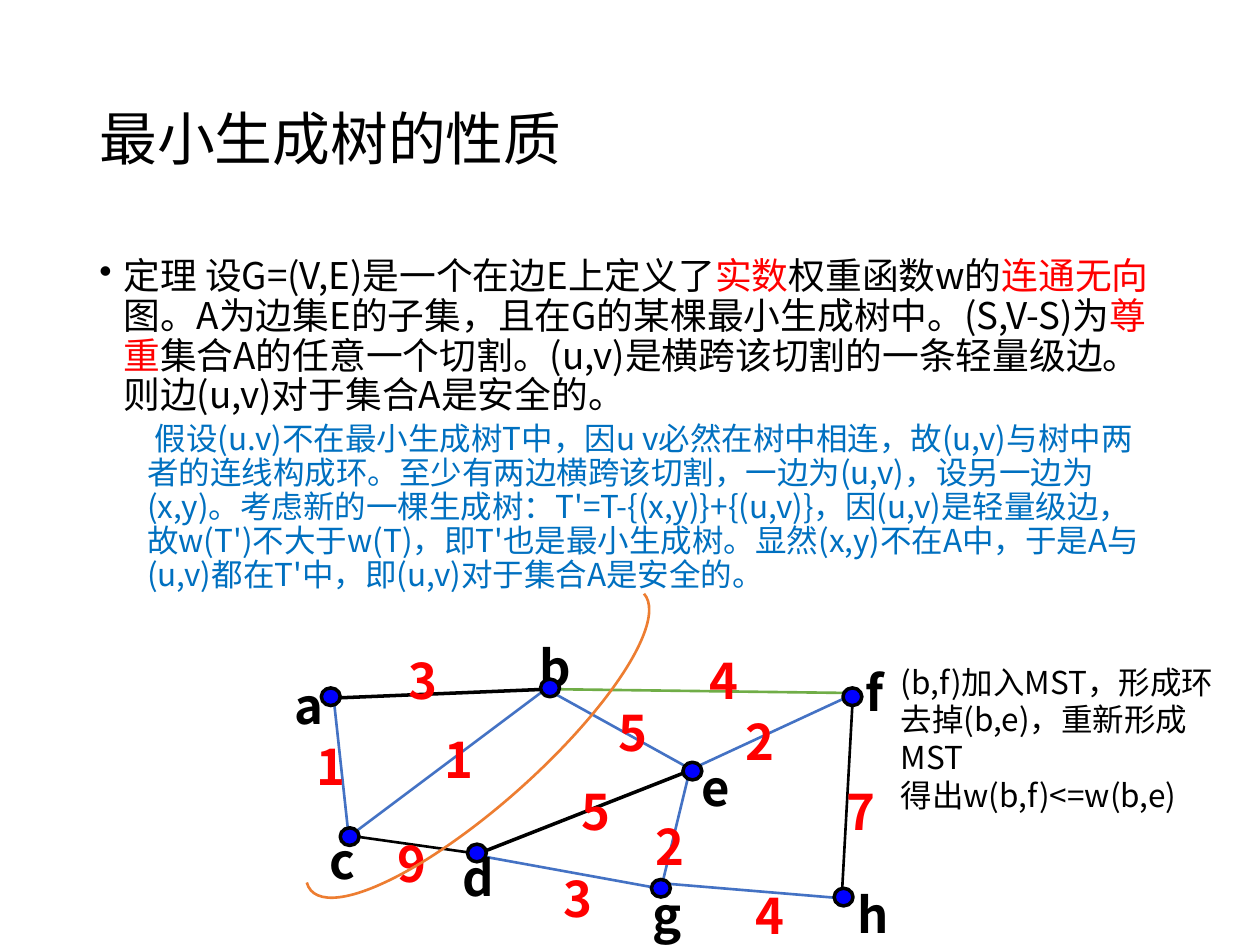
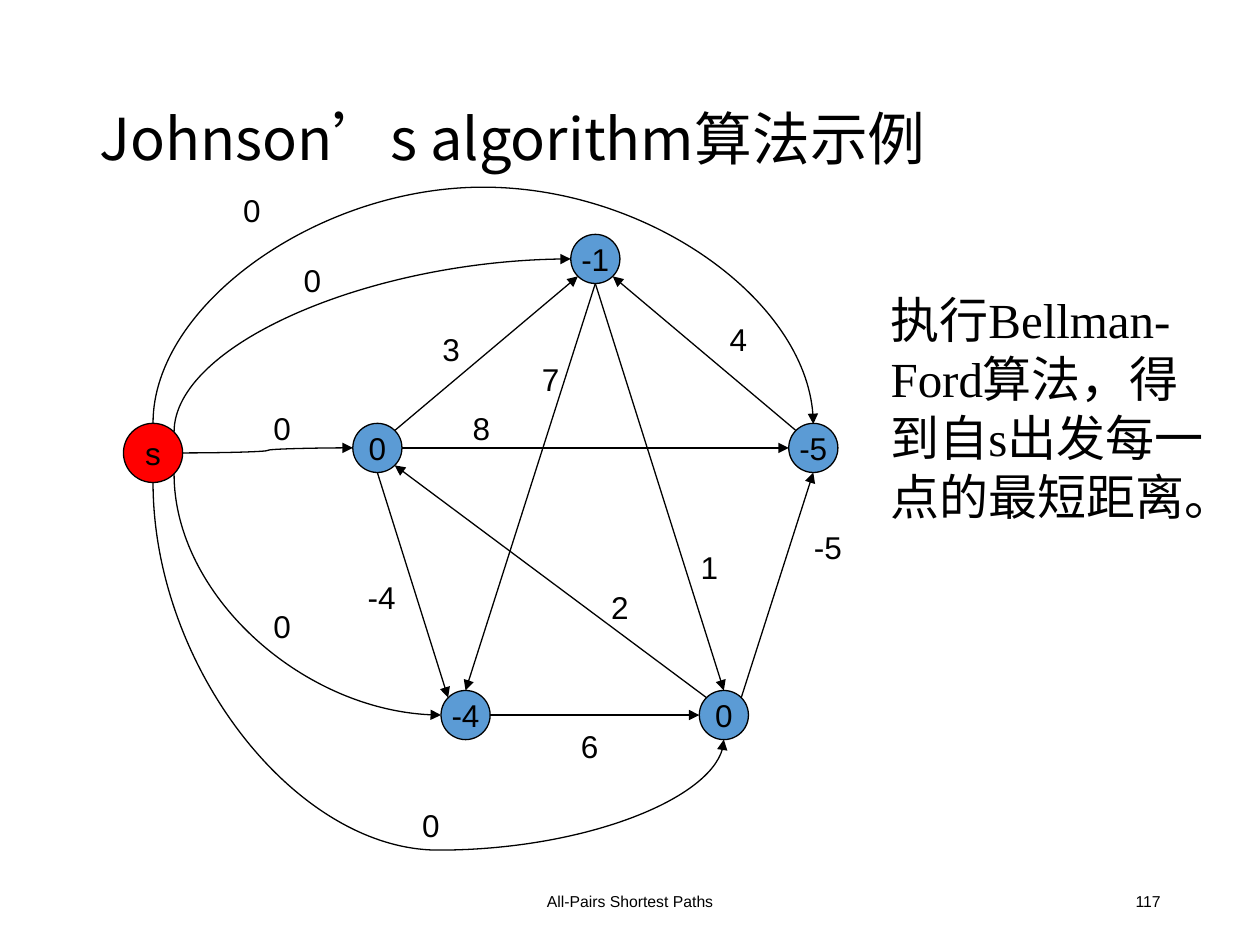
from lxml.etree import SubElement as Sub
from pptx import Presentation
from pptx.dml.color import RGBColor
from pptx.enum.shapes import MSO_CONNECTOR as Conn, MSO_SHAPE as Geo
from pptx.enum.text import MSO_ANCHOR as Anchor, MSO_AUTO_SIZE as Auto, PP_ALIGN as Align
from pptx.oxml.ns import qn
from pptx.util import Inches, Pt

BLACK = RGBColor(0, 0, 0)
RED = RGBColor(255, 0, 0)
BLUE = RGBColor(0, 0, 255)
NAVY = RGBColor(0x00, 0x70, 0xC0)
EDGE = RGBColor(0x44, 0x72, 0xC4)
GREEN = RGBColor(0x70, 0xAD, 0x47)
SKY = RGBColor(0x5B, 0x9B, 0xD5)
AMBER = RGBColor(0xED, 0x7D, 0x31)

SANS = "Noto Sans CJK SC"
ARIAL = "Arial"
SERIF = "Times New Roman"

TOP, LEFT, LOW_LEFT, BASE, LOW_RIGHT, RIGHT, UP_RIGHT = 0, 2, 3, 4, 5, 6, 7
DIAG = 0.71
SITES = {
    TOP: (0, -1), LEFT: (-1, 0), LOW_LEFT: (-DIAG, DIAG), BASE: (0, 1),
    LOW_RIGHT: (DIAG, DIAG), RIGHT: (1, 0), UP_RIGHT: (DIAG, -DIAG), 1: (-DIAG, -DIAG),
}
UP_LEFT = 1


class Deck:
    def __init__(self):
        self.prs = Presentation()
        self.prs.slide_width, self.prs.slide_height = Inches(10), Inches(7.5)
        self.slide = None

    def page(self, title):
        self.slide = self.prs.slides.add_slide(self.prs.slide_layouts[6])
        frame = self.frame((0.69, 0.4, 8.62, 1.45), Anchor.MIDDLE)
        self.para(frame.paragraphs[0], [(title, None)], 33, lead=0.9)

    def frame(self, box, anchor=Anchor.TOP, wrap=True, grow=False):
        frame = self.slide.shapes.add_textbox(*map(Inches, box)).text_frame
        frame.word_wrap = wrap
        frame.vertical_anchor = anchor
        if grow:
            frame.auto_size = Auto.SHAPE_TO_FIT_TEXT
        return frame

    def para(self, para, parts, size, face=SANS, color=BLACK, bold=None, align=None, lead=None):
        if align is not None:
            para.alignment = align
        if lead:
            para.line_spacing = lead
        font = para.font
        font.size, font.name, font.bold = Pt(size), face, bold
        font.color.rgb = color
        if face == SANS:
            Sub(font._rPr, qn("a:ea"), typeface=face)
        for text, tint in parts:
            run = para.add_run()
            run.text = text
            if tint is not None:
                run.font.color.rgb = tint

    def text(self, box, text, size, wrap=True, anchor=Anchor.TOP, grow=True, **look):
        frame = self.frame(box, anchor, wrap, grow)
        for i, line in enumerate(text.split("\n")):
            para = frame.add_paragraph() if i else frame.paragraphs[0]
            self.para(para, [(line, None)], size, **look)

    def indent(self, para, left, first, mark=None):
        props = para._p.get_or_add_pPr()
        props.set("marL", str(Inches(left)))
        props.set("indent", str(Inches(first)))
        if mark:
            Sub(props, qn("a:buChar"), char=mark)
        else:
            Sub(props, qn("a:buNone"))

    def shape(self, geo, box, fill, line, width):
        shape = self.slide.shapes.add_shape(geo, *map(Inches, box))
        shape.shadow.inherit = False
        if fill is None:
            shape.fill.background()
        else:
            shape.fill.solid()
            shape.fill.fore_color.rgb = fill
        shape.line.color.rgb = line
        shape.line.width = Pt(width)
        return shape

    def node(self, x, y, size, text, fill):
        shape = self.shape(Geo.OVAL, (x, y, size, size), fill, BLACK, 0.75)
        frame = shape.text_frame
        frame.word_wrap = False
        frame.vertical_anchor = Anchor.MIDDLE
        self.para(frame.paragraphs[0], [(text, None)], 18, ARIAL, align=Align.CENTER)
        return shape

    def line(self, ends, color, width, kind=Conn.STRAIGHT, arrow=False):
        line = self.slide.shapes.add_connector(kind, *map(Inches, ends))
        line.line.color.rgb = color
        line.line.width = Pt(width)
        if arrow:
            Sub(line.line._ln, qn("a:tailEnd"), type="triangle")
        Sub(line._element.spPr, qn("a:effectLst"))
        return line

    def site(self, shape, spot):
        dx, dy = SITES[spot]
        half = shape.width / 2
        return ((shape.left + half * (1 + dx)) / Inches(1),
                (shape.top + half * (1 + dy)) / Inches(1))

    def glue(self, line, *ends):
        props = line._element.find(".//" + qn("p:cNvCxnSpPr"))
        for tag, (shape, spot) in zip(("a:stCxn", "a:endCxn"), ends):
            Sub(props, qn(tag), id=str(shape.shape_id), idx=str(spot))

    def link(self, start, end, kind=Conn.STRAIGHT):
        ends = self.site(*start) + self.site(*end)
        self.glue(self.line(ends, BLACK, 0.75, kind, True), start, end)

    def bend(self, start, end, turn, flip=None, bulge=None):
        (x1, y1), (x2, y2) = self.site(*start), self.site(*end)
        wide, high = max(abs(y2 - y1), 0.01), abs(x2 - x1)
        x, y = (x1 + x2 - wide) / 2, (y1 + y2 - high) / 2
        line = self.line((x, y, x + wide, y + high), BLACK, 0.75, Conn.CURVE, True)
        form = line._element.spPr.find(qn("a:xfrm"))
        form.set("rot", str(turn * 60000))
        if flip:
            form.set(flip, "1")
        geom = line._element.spPr.find(qn("a:prstGeom"))
        if bulge is None:
            geom.set("prst", "curvedConnector2")
        else:
            Sub(geom.find(qn("a:avLst")), qn("a:gd"), name="adj1",
                fmla=f"val {round(bulge * 100000)}")
        self.glue(line, start, end)


def tree(deck):
    deck.page("最小生成树的性质")
    frame = deck.frame((0.69, 2, 8.62, 4.76))
    claim = frame.paragraphs[0]
    deck.indent(claim, 0.19, -0.19, "•")
    deck.para(claim, [
        ("定理 设G=(V,E)是一个在边E上定义了", None), ("实数", RED),
        ("权重函数w的", None), ("连通无向", RED),
        ("图。A为边集E的子集，且在G的某棵最小生成树中。(S,V-S)为", None), ("尊重", RED),
        ("集合A的任意一个切割。(u,v)是横跨该切割的一条轻量级边。则边(u,v)对于集合A是安全的。", None),
    ], 21, lead=0.9)
    proof = frame.add_paragraph()
    proof.space_before = Pt(3.8)
    deck.indent(proof, 0.38, 0.06)
    deck.para(proof, [(
        "假设(u.v)不在最小生成树T中，因u v必然在树中相连，故(u,v)与树中两者的连线构成环。"
        "至少有两边横跨该切割，一边为(u,v)，设另一边为(x,y)。考虑新的一棵生成树："
        "T'=T-{(x,y)}+{(u,v)}，因(u,v)是轻量级边，故w(T')不大于w(T)，即T'也是最小生成树。"
        "显然(x,y)不在A中，于是A与(u,v)都在T'中，即(u,v)对于集合A是安全的。", None)],
        18, color=NAVY, lead=0.9)

    for ends, color, width in [
        ((6.68, 7.13, 6.77, 5.51), BLACK, 1.5),
        ((4.41, 5.51, 5.51, 6.12), EDGE, 1.5),
        ((2.77, 6.66, 2.65, 5.56), EDGE, 1.5),
        ((2.66, 5.54, 4.35, 5.47), BLACK, 2),
        ((2.77, 6.64, 4.37, 5.44), EDGE, 1.5),
        ((5.24, 7.08, 5.48, 6.09), EDGE, 1.5),
        ((6.75, 5.52, 5.52, 6.09), EDGE, 1.5),
        ((3.75, 6.77, 2.76, 6.63), BLACK, 1.5),
        ((5.17, 7.04, 3.85, 6.8), EDGE, 1.5),
        ((5.49, 6.11, 3.81, 6.77), BLACK, 2),
        ((6.69, 7.13, 5.25, 7.01), EDGE, 1.5),
        ((6.75, 5.5, 4.39, 5.47), GREEN, 1.5),
    ]:
        deck.line(ends, color, width)

    names = [("a", 2.24, 5.31), ("b", 4.18, 5.01), ("c", 2.52, 6.54), ("d", 3.57, 6.68),
             ("e", 5.47, 5.96), ("f", 6.77, 5.21), ("g", 5.08, 6.97), ("h", 6.71, 6.97)]
    costs = [("3", 3.14, 5.11), ("5", 4.81, 5.53), ("1", 2.41, 5.8), ("1", 3.43, 5.74),
             ("9", 3.06, 6.57), ("5", 4.52, 6.15), ("4", 5.53, 5.11), ("7", 6.62, 6.15),
             ("3", 4.37, 6.84), ("2", 5.1, 6.43), ("2", 5.82, 5.6), ("4", 5.9, 6.98)]
    for group, color in ((names, BLACK), (costs, RED)):
        for text, x, y in group:
            deck.text((x, y, 0.35, 0.47), text, 28, wrap=False, color=color, bold=True)

    for x, y in [(2.55, 5.46), (4.29, 5.39), (5.42, 6.05), (6.69, 5.46),
                 (2.7, 6.57), (3.71, 6.7), (5.17, 6.98), (6.62, 7.05)]:
        deck.shape(Geo.OVAL, (x, y, 0.15, 0.14), BLUE, BLACK, 2)

    deck.text((7.05, 5.21, 2.93, 1.01),
              "(b,f)加入MST，形成环\n去掉(b,e)，重新形成MST\n得出w(b,f)<=w(b,e)", 18)
    cut = deck.shape(Geo.ARC, (3.29, 4.12, 1, 3.54), None, AMBER, 1.5)
    cut.adjustments[0], cut.adjustments[1] = 162, 55.36
    cut.rotation = 48.3


def paths(deck):
    deck.page("Johnson’s algorithm算法示例")
    for box, text, align in [((3.31, 6.95, 3.38, 0.4), "All-Pairs Shortest Paths", Align.CENTER),
                             ((7.06, 6.95, 2.25, 0.4), "117", Align.RIGHT)]:
        deck.text(box, text, 9, anchor=Anchor.MIDDLE, grow=False, face=ARIAL, align=align)

    peak, west, east, south, far = [
        deck.node(x, y, 0.39, text, SKY) for x, y, text in [
            (4.53, 1.86, "-1"), (2.8, 3.36, "0"), (6.26, 3.36, "-5"),
            (3.5, 5.48, "-4"), (5.55, 5.48, "0")]]
    source = deck.node(0.98, 3.36, 0.47, "s", RED)

    for start, end in [
        ((west, UP_RIGHT), (peak, LOW_LEFT)),
        ((east, UP_LEFT), (peak, LOW_RIGHT)),
        ((west, BASE), (south, UP_LEFT)),
        ((south, RIGHT), (far, LEFT)),
        ((far, UP_RIGHT), (east, BASE)),
        ((peak, BASE), (south, TOP)),
        ((peak, BASE), (far, TOP)),
        ((far, UP_LEFT), (west, LOW_RIGHT)),
        ((west, RIGHT), (east, LEFT)),
    ]:
        deck.link(start, end)

    deck.bend((source, UP_RIGHT), (peak, LEFT), 270)
    deck.bend((source, TOP), (east, TOP), 90, "flipV", -190)
    deck.link((source, RIGHT), (west, LEFT), Conn.CURVE)
    deck.bend((source, LOW_RIGHT), (south, LEFT), 270, "flipH")
    deck.bend((source, BASE), (far, BASE), 270, "flipH", 1.43)

    for text, x, y in [
        ("3", 3.11, 2.57), ("7", 3.9, 2.81), ("4", 5.39, 2.49), ("2", 4.45, 4.62),
        ("8", 3.35, 3.2), ("-4", 2.56, 4.54), ("6", 4.21, 5.72), ("1", 5.16, 4.3),
        ("-5", 6.1, 4.14), ("0", 1.53, 1.47), ("0", 2.01, 2.02), ("0", 1.77, 3.2),
        ("0", 1.77, 4.77), ("0", 2.95, 6.35),
    ]:
        deck.text((x, y, 0.94, 0.4), text, 18, face=ARIAL, align=Align.CENTER)
    deck.text((6.97, 2.25, 2.76, 1.99),
              "执行Bellman-Ford算法，得到自s出发每一点的最短距离。", 28, face=SERIF)


def main():
    deck = Deck()
    tree(deck)
    paths(deck)
    deck.prs.save("out.pptx")


if __name__ == "__main__":
    main()
